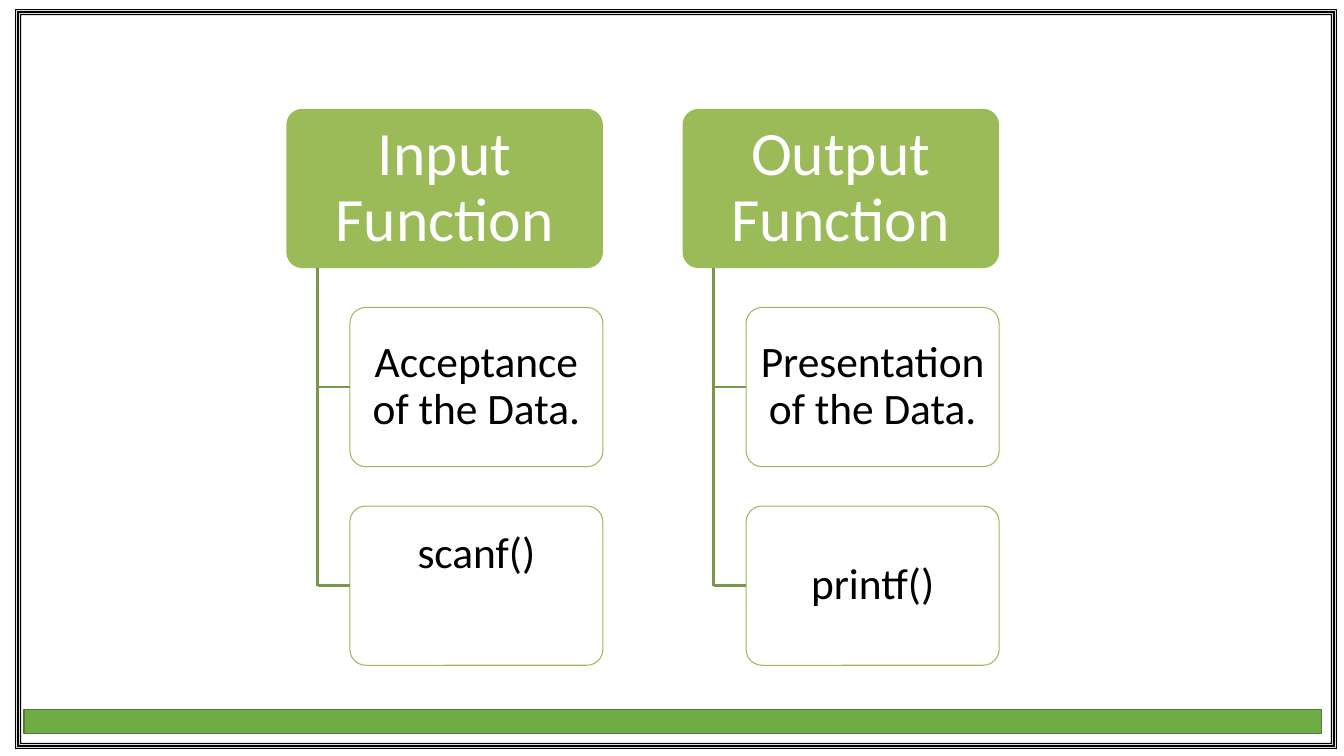
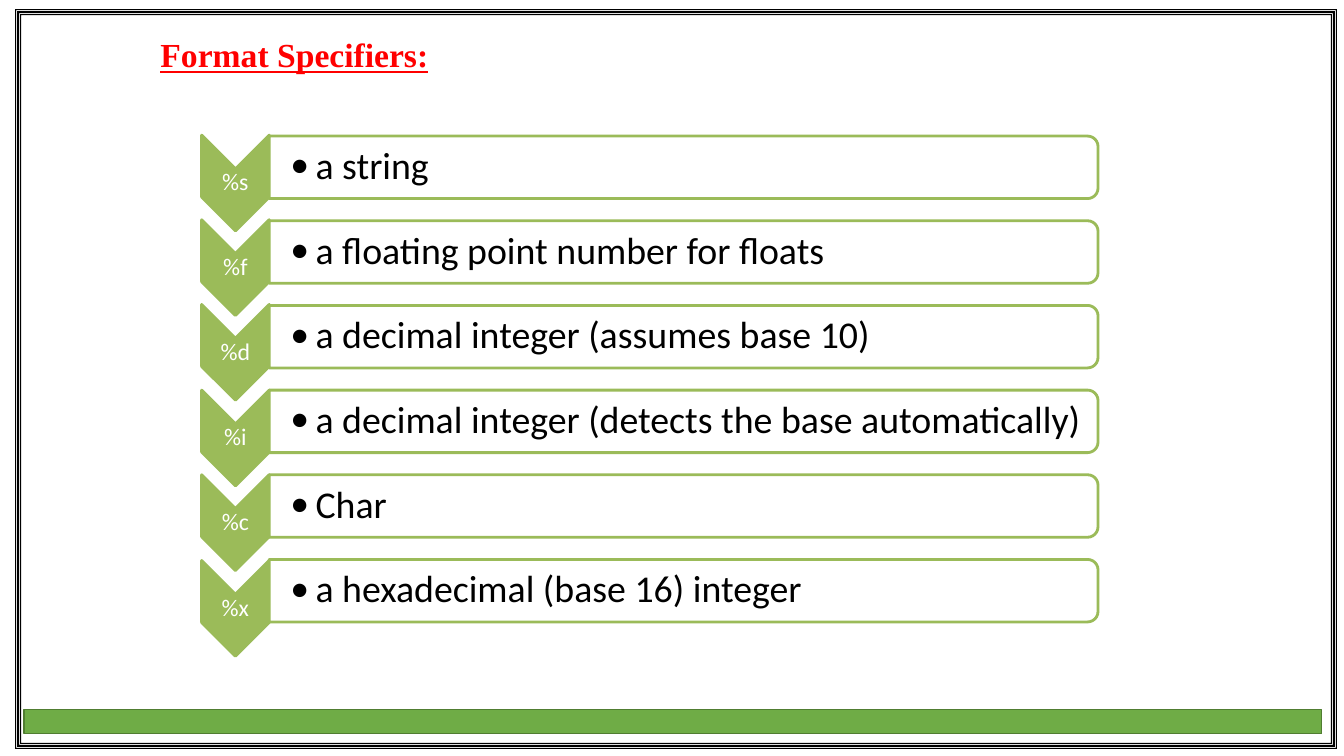
import lxml.etree
import pptx
import pptx.dml.color
import pptx.enum.shapes
import pptx.enum.text
import pptx.oxml.ns
import pptx.util

RGB = pptx.dml.color.RGBColor
KIND = pptx.enum.shapes.MSO_SHAPE
ALIGN = pptx.enum.text.PP_ALIGN
ANCHOR = pptx.enum.text.MSO_ANCHOR
LINE = pptx.enum.shapes.MSO_CONNECTOR.STRAIGHT
qn = pptx.oxml.ns.qn

PX = 9144  # 100 px to the inch
BLACK = RGB(0x00, 0x00, 0x00)
WHITE = RGB(0xFF, 0xFF, 0xFF)
RED = RGB(0xFF, 0x00, 0x00)
LIME = RGB(0x9B, 0xBB, 0x59)
OLIVE = RGB(0x7C, 0x96, 0x47)
GREEN = RGB(0x6F, 0xAC, 0x46)
FOREST = RGB(0x50, 0x7D, 0x31)


def draw(slide, kind, box, fill, edge=None, width=1):
    shape = slide.shapes.add_shape(kind, *(n * PX for n in box))
    shape.shadow.inherit = False
    shape.fill.solid()
    shape.fill.fore_color.rgb = fill
    if edge is None:
        shape.line.fill.background()
    else:
        shape.line.color.rgb = edge
        shape.line.width = pptx.util.Pt(width)
    return shape


def write(shape, text, size, color, pads, align=ALIGN.CENTER):
    """Fill a shape with one paragraph; pads are left, top, right, bottom."""
    frame = shape.text_frame
    frame.word_wrap = True
    frame.vertical_anchor = ANCHOR.MIDDLE
    (frame.margin_left, frame.margin_top,
     frame.margin_right, frame.margin_bottom) = (n * PX for n in pads)
    para = frame.paragraphs[0]
    para.alignment = align
    para.line_spacing = 0.9
    run = para.add_run()
    run.text = text
    run.font.name = "Calibri"
    run.font.size = pptx.util.Pt(size)
    run.font.color.rgb = color
    return para


prs = pptx.Presentation()
prs.slide_width = 1333 * PX
prs.slide_height = 750 * PX
slide = prs.slides.add_slide(prs.slide_layouts[6])

# Band and triple frame, kept on the master
parts = [draw(slide, KIND.RECTANGLE, (24, 704, 1287, 24), GREEN, FOREST)]
for inset, thick in ((0, 1), (2, 2), (5, 1)):
    high = 734 - 2 * inset
    box = (15 + inset, 9 + inset, 1311 - 2 * inset, high)
    rim = draw(slide, KIND.FRAME, box, BLACK)
    rim.adjustments[0] = thick / high
    parts.append(rim)
for num, part in enumerate(parts, 100):
    part.element.nvSpPr.cNvPr.set("id", str(num))
    prs.slide_master.shapes.element.append(part.element)

# Slide 1: input and output functions
TOP, HIGH, STEP = 108, 158, 197
PADS = (4, 9, 4, 9)
RAISED = (4, 9, 4, 71)
trees = (
    (284, "Input Function",
     (("Acceptance of the Data.", PADS), ("scanf()", RAISED))),
    (677, "Output Function",
     (("Presentation of the Data.", PADS), ("printf()", PADS))),
)
for left, name, leaves in trees:
    head = draw(slide, KIND.ROUNDED_RECTANGLE, (left, TOP, 314, HIGH), LIME)
    head.adjustments[0] = 0.1
    write(head, name, 44, WHITE, (9, 10, 9, 10))
    stem = left + 31
    end = TOP + 2 * STEP + HIGH // 2
    lines = [slide.shapes.add_connector(
        LINE, stem * PX, (TOP + HIGH) * PX, stem * PX, end * PX)]
    for row, (text, pads) in enumerate(leaves, 1):
        top = TOP + row * STEP
        leaf = draw(slide, KIND.ROUNDED_RECTANGLE,
                    (left + 63, top, 251, HIGH), WHITE, LIME, 0.75)
        leaf.adjustments[0] = 0.1
        write(leaf, text, 31, BLACK, pads)
        mid = (top + HIGH // 2) * PX
        twig = slide.shapes.add_connector(
            LINE, stem * PX, mid, (left + 63) * PX, mid)
        twig.end_connect(leaf, 1)
        lines.append(twig)
    for line in lines:
        line.line.color.rgb = OLIVE
        line.line.width = pptx.util.Pt(2)
        lxml.etree.SubElement(line.element.spPr, qn("a:effectLst"))

# Slide 2: format specifiers
slide = prs.slides.add_slide(prs.slide_layouts[5])
title = slide.shapes.title
title.left, title.top, title.width, title.height = (
    n * PX for n in (142, 32, 300, 42))
para = write(title, "Format Specifiers:", 24, RED, (0, 0, 0, 0))
para.line_spacing = 1.0
title.text_frame.auto_size = pptx.enum.text.MSO_AUTO_SIZE.NONE
title.text_frame.vertical_anchor = ANCHOR.BOTTOM
font = para.runs[0].font
font.name = "Times New Roman"
font.bold = True
font.underline = True

codes = (
    ("%s", "a string"),
    ("%f", "a floating point number for floats"),
    ("%d", "a decimal integer (assumes base 10)"),
    ("%i", "a decimal integer (detects the base automatically)"),
    ("%c", "Char"),
    ("%x", "a hexadecimal (base 16) integer"),
)
for row, (code, text) in enumerate(codes):
    top = 148 + row * 422 // 5
    arrow = draw(slide, KIND.CHEVRON, (186, top, 95, 67), LIME, LIME, 2)
    arrow.rotation = 90
    label = slide.shapes.add_textbox(
        *(n * PX for n in (200, top + 19, 67, 29)))
    write(label, code, 17, WHITE, (1, 1, 1, 1))

    drop = row * 84
    bar = draw(slide, KIND.ROUND_2_SAME_RECTANGLE,
               (647, drop - 245, 62, 822), WHITE, LIME, 2)
    bar.rotation = 90
    note = slide.shapes.add_textbox(
        *(n * PX for n in (267, 138 + drop, 819, 56)))
    para = write(note, text, 27, BLACK, (21, 2, 2, 2), ALIGN.LEFT)
    props = para._p.get_or_add_pPr()
    props.set("marL", str(25 * PX))
    props.set("indent", str(-25 * PX))
    lxml.etree.SubElement(props, qn("a:buFont")).set("typeface", "Calibri")
    lxml.etree.SubElement(props, qn("a:buChar")).set("char", "•")
    para.font.size = pptx.util.Pt(27)

prs.save("out.pptx")
